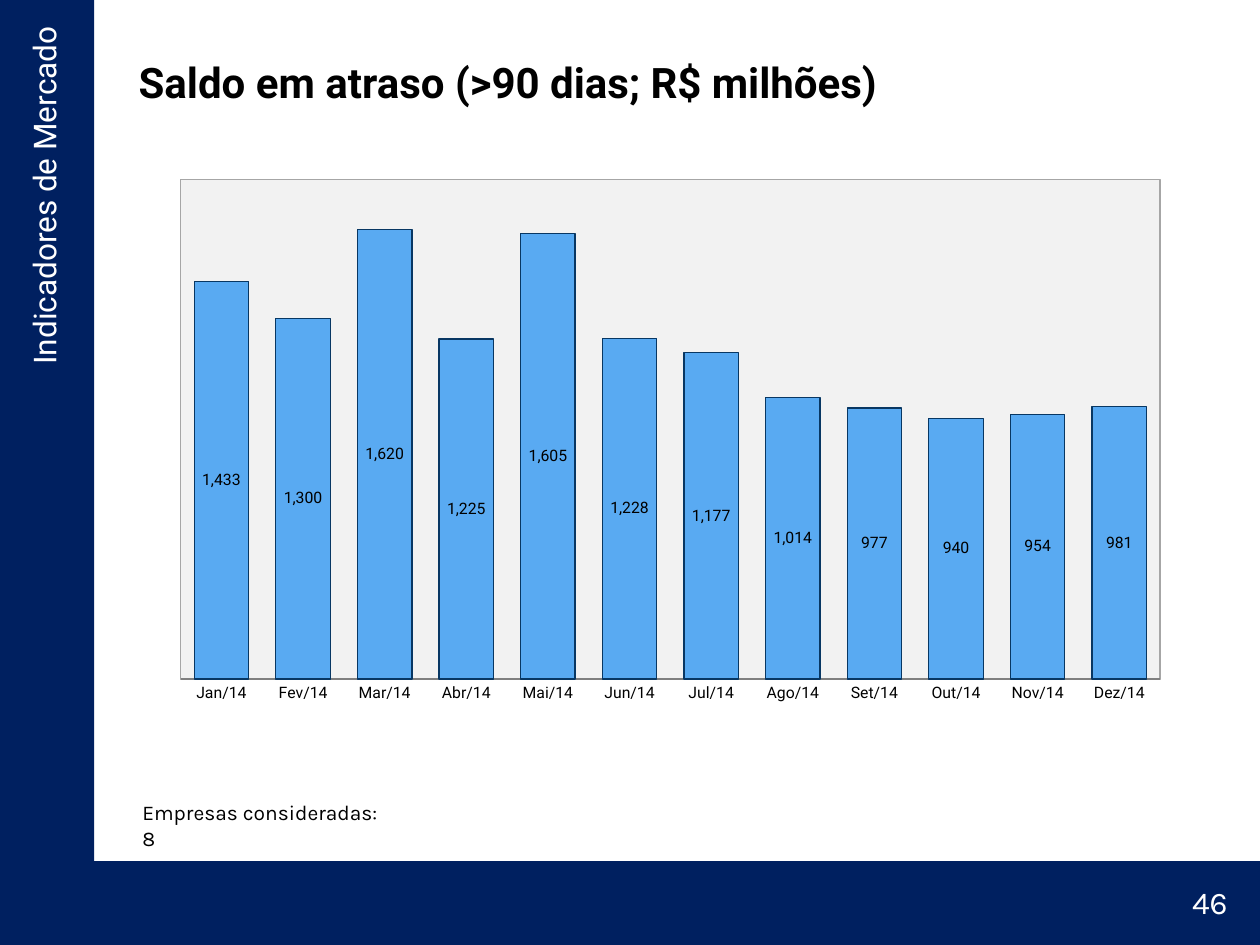
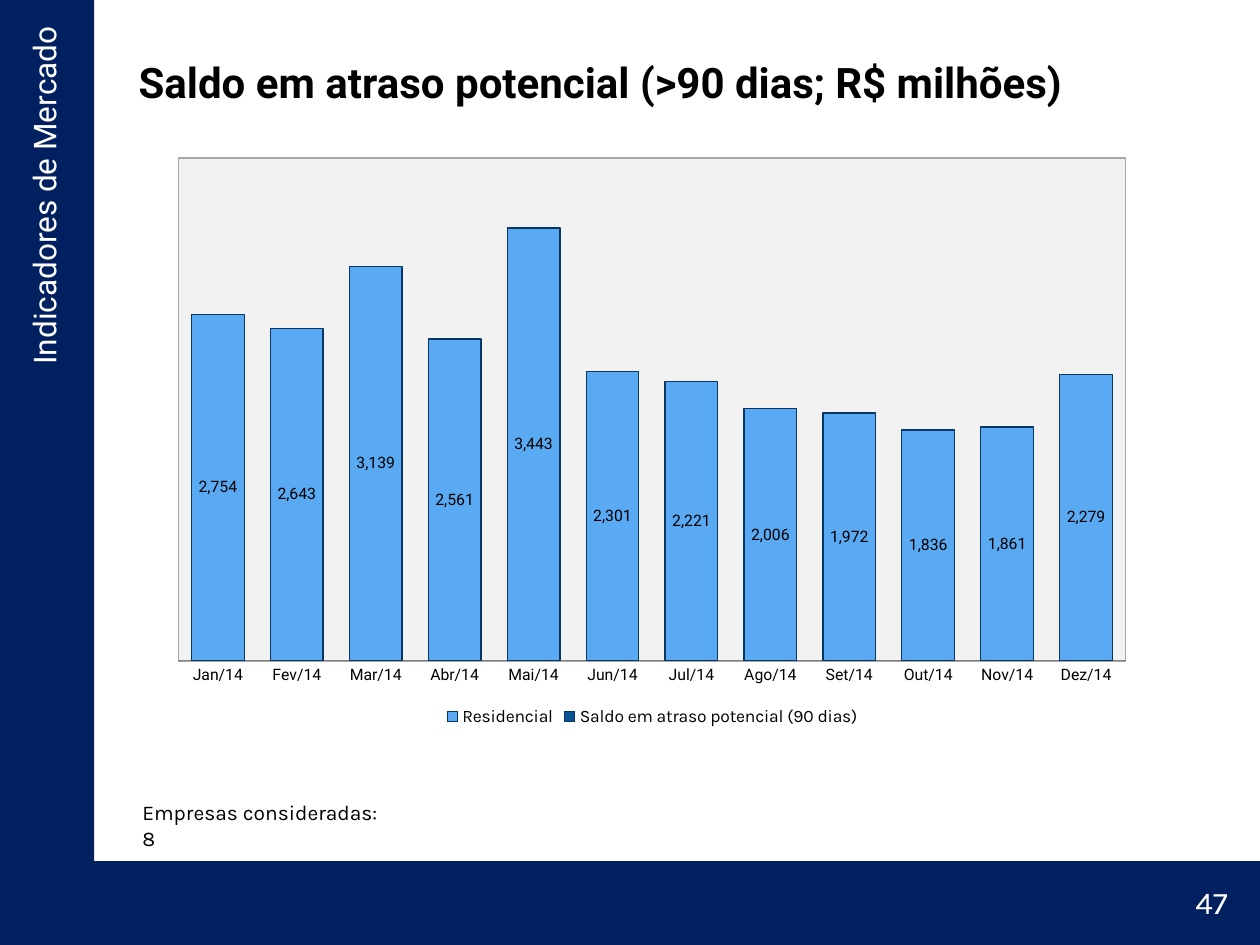
from lxml import etree
from pptx import Presentation
from pptx.chart.data import CategoryChartData
from pptx.dml.color import RGBColor
from pptx.enum.chart import XL_CHART_TYPE as ChartType
from pptx.enum.chart import XL_LEGEND_POSITION as LegendPos
from pptx.enum.chart import XL_TICK_MARK as Tick
from pptx.enum.shapes import MSO_SHAPE as Shape
from pptx.enum.text import MSO_ANCHOR as Anchor
from pptx.enum.text import PP_ALIGN as Align
from pptx.oxml import parse_xml
from pptx.util import Cm, Pt

# Content
SECTION = "Indicadores de Mercado"
NOTE = "Empresas consideradas: 8"
MONTHS = [f"{m}/14" for m in
          "Jan Fev Mar Abr Mai Jun Jul Ago Set Out Nov Dez".split()]
SLIDES = [
    {"title": "Saldo em atraso (>90 dias; R$ milhões)",
     "page": "46",
     "names": ("Series 1", "Series 2"),
     "values": [1433, 1300, 1620, 1225, 1605, 1228,
                1177, 1014, 977, 940, 954, 981],
     "box": (3.23, 3.4, 20.57, 10.95),
     "plot_height": 0.92, "top_value": 1800, "legend": False},
    {"title": "Saldo em atraso potencial (>90 dias; R$ milhões)",
     "page": "47",
     "names": ("Residencial", "Saldo em atraso potencial (90 dias)"),
     "values": [2754, 2643, 3139, 2561, 3443, 2301,
                2221, 2006, 1972, 1836, 1861, 2279],
     "box": (3.2, 2.95, 19.89, 11.79),
     "plot_height": 0.86, "top_value": 4000, "legend": True},
]

# Shared style
COLORS = {"navy": "002060", "white": "FFFFFF", "black": "000000",
          "bar": "59AAF2", "second": "0B5394", "outline": "083763",
          "plot": "F2F2F2", "border": "A6A6A6", "axis": "808080"}
WIDTH, HEIGHT = 25.4, 19.05
SIDE_W, FOOT_Y = 1.9, 17.36
BANDS = [(0, FOOT_Y, WIDTH, HEIGHT - FOOT_Y), (0, 0, SIDE_W, FOOT_Y)]
TITLE_BOX = (2.54, 0.76, 21.59, 1.78)
SECTION_BOX = (-6.48, 7.14, 14.73, 1.02)
PAGE_BOX = (22.66, 17.68, 2.34, 1.02)
NOTE_BOX = (2.62, 16, 5.38, 0.76)
TITLE_FONT = {"name": "Roboto", "size": Pt(24), "bold": True}
SECTION_FONT = {"name": "Roboto", "size": Pt(18)}
PAGE_FONT = {"name": "Karla", "size": Pt(18)}
NOTE_FONT = {"name": "Karla", "size": Pt(12)}
CHART_FONT = {"name": "Karla", "size": Pt(10)}
LABEL_FONT = {"name": "Roboto", "size": Pt(9)}
NS = ('xmlns:c="http://schemas.openxmlformats.org/drawingml/2006/chart" '
      'xmlns:a="http://schemas.openxmlformats.org/drawingml/2006/main"')


def rgb(name):
    return RGBColor.from_string(COLORS[name])


def set_font(font, style, color="black"):
    for key, value in style.items():
        setattr(font, key, value)
    font.color.rgb = rgb(color)


def lengths(box):
    return [Cm(v) for v in box]


def add_text(slide, text, box, style, color="black", align=Align.LEFT):
    sp = slide.shapes.add_textbox(*lengths(box))
    tf = sp.text_frame
    tf.word_wrap = True
    p = tf.paragraphs[0]
    p.alignment = align
    r = p.add_run()
    r.text = text
    set_font(r.font, style, color)
    return sp


def add_frame(slide, page):
    """Navy bands, section name, page number and note."""
    for box in BANDS:
        sp = slide.shapes.add_shape(Shape.RECTANGLE, *lengths(box))
        sp.shadow.inherit = False
        sp.fill.solid()
        sp.fill.fore_color.rgb = rgb("navy")
        sp.line.fill.background()
    section = add_text(slide, SECTION, SECTION_BOX, SECTION_FONT,
                       "white", Align.RIGHT)
    section.rotation = 270
    add_text(slide, page, PAGE_BOX, PAGE_FONT, "white", Align.RIGHT)
    add_text(slide, NOTE, NOTE_BOX, NOTE_FONT)


def set_title(slide, text):
    sp = slide.shapes.title
    sp.left, sp.top, sp.width, sp.height = lengths(TITLE_BOX)
    tf = sp.text_frame
    tf.word_wrap = True
    tf.vertical_anchor = Anchor.MIDDLE
    p = tf.paragraphs[0]
    p.alignment = Align.LEFT
    r = p.add_run()
    r.text = text
    set_font(r.font, TITLE_FONT)


def style_plot_area(chart, height):
    """Fix the inner plot area and give it a fill and a border."""
    area = chart.element.find(".//{*}plotArea")
    for old in area.findall("{*}layout"):
        area.remove(old)
    layout = parse_xml(f"<c:layout {NS}><c:manualLayout/></c:layout>")
    settings = {"layoutTarget": "inner", "xMode": "edge", "yMode": "edge",
                "x": 0.02, "y": 0.02, "w": 0.96, "h": height}
    for tag, value in settings.items():
        item = etree.SubElement(layout[0], etree.QName(layout, tag))
        item.set("val", str(value))
    area.insert(0, layout)
    area.append(parse_xml(
        f'<c:spPr {NS}><a:solidFill><a:srgbClr val="{COLORS["plot"]}"/>'
        f'</a:solidFill><a:ln w="9525"><a:solidFill>'
        f'<a:srgbClr val="{COLORS["border"]}"/></a:solidFill></a:ln></c:spPr>'))


def add_balance_chart(slide, item):
    data = CategoryChartData(number_format="#,##0")
    data.categories = MONTHS
    for name, values in zip(item["names"],
                            (item["values"], [None] * len(MONTHS))):
        data.add_series(name, values)
    chart = slide.shapes.add_chart(ChartType.COLUMN_STACKED,
                                   *lengths(item["box"]), data).chart
    set_font(chart.font, CHART_FONT)
    chart.has_title = False
    chart.has_legend = item["legend"]
    if item["legend"]:
        chart.legend.position = LegendPos.BOTTOM
        chart.legend.include_in_layout = False

    # Axes
    months, amounts = chart.category_axis, chart.value_axis
    months.major_tick_mark = Tick.NONE
    months.format.line.color.rgb = rgb("axis")
    set_font(months.tick_labels.font, LABEL_FONT)
    amounts.minimum_scale, amounts.maximum_scale = 0, item["top_value"]
    amounts.has_major_gridlines = False
    amounts.visible = False

    # Columns and their labels
    plot = chart.plots[0]
    plot.gap_width, plot.overlap = 50, 100
    plot.vary_by_categories = False
    for series, color in zip(plot.series, ("bar", "second")):
        series.format.fill.solid()
        series.format.fill.fore_color.rgb = rgb(color)
        series.format.line.color.rgb = rgb("outline")
        series.format.line.width = Pt(0.75)
    labels = plot.series[0].data_labels
    labels.show_value = True
    labels.number_format = "#,##0"
    labels.number_format_is_linked = False
    set_font(labels.font, LABEL_FONT)
    style_plot_area(chart, item["plot_height"])


def main():
    prs = Presentation()
    prs.slide_width, prs.slide_height = Cm(WIDTH), Cm(HEIGHT)
    for item in SLIDES:
        slide = prs.slides.add_slide(prs.slide_layouts[5])
        add_frame(slide, item["page"])
        set_title(slide, item["title"])
        add_balance_chart(slide, item)
    prs.save("out.pptx")


if __name__ == "__main__":
    main()
